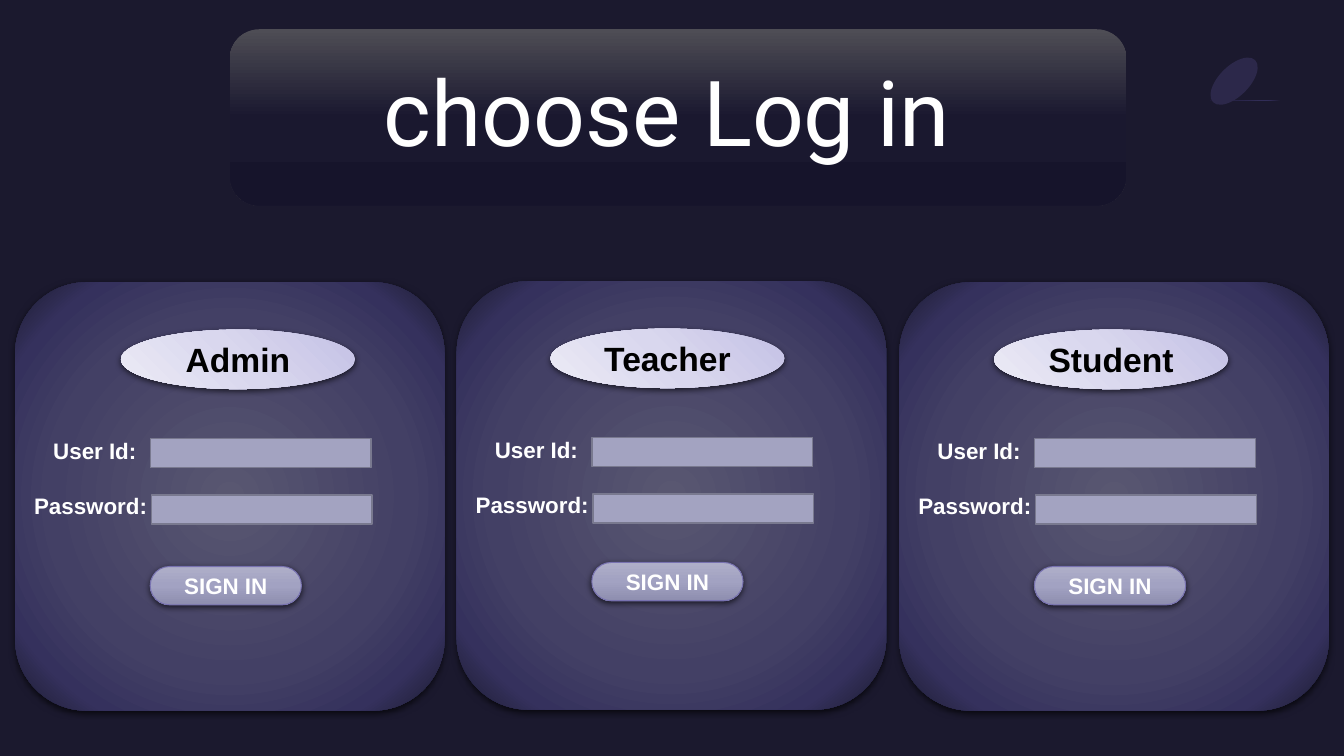
from lxml import etree
from pptx import Presentation
from pptx.dml.color import RGBColor
from pptx.enum.shapes import MSO_SHAPE
from pptx.enum.text import MSO_ANCHOR, MSO_AUTO_SIZE, PP_ALIGN
from pptx.oxml.ns import qn
from pptx.util import Inches, Pt

RECTANGLE = MSO_SHAPE.RECTANGLE
ROUNDED = MSO_SHAPE.ROUNDED_RECTANGLE
OVAL = MSO_SHAPE.OVAL
TOP, MIDDLE = MSO_ANCHOR.TOP, MSO_ANCHOR.MIDDLE
LEFT, CENTER = PP_ALIGN.LEFT, PP_ALIGN.CENTER
NO_AUTOFIT = MSO_AUTO_SIZE.NONE
TITLE_ONLY = 5

COLORS = {
    "background": "1B192E",
    "cone": "2C284A",
    "field": "A3A3C1",
    "field_line": "79798F",
    "button_line": "7872B0",
    "white": "FFFFFF",
    "black": "000000",
}
GRADIENTS = {
    "banner": [(0, "4E4D55"), (50, "1A182F"), (100, "16142B")],
    "cone": [(30, "2C284A"), (40, "3C3867"), (60, "2C284A"), (100, "1B192E")],
    "card": [(0, "595771"), (59, "434065"), (82, "35315D"), (100, "1B1A2E"), (100, "2E2A54")],
    "badge": [(0, "C4C1E5"), (50, "D9D7EE"), (100, "ECEBF6")],
    "button": [(0, "AEAEC8"), (50, "A2A2C2"), (100, "8E8EAF")],
}
CARDS = [
    ("Admin", 0.15, 2.8, 1.05, 2.82),
    ("Teacher", 4.53, 2.79, 0.93, 2.79),
    ("Student", 8.92, 2.8, 0.94, 2.82),
]


def color(name):
    return RGBColor.from_string(COLORS[name])


def add_box(slide, kind, left, top, width, height, fill=None, line=None, line_width=1):
    shape = slide.shapes.add_shape(kind, Inches(left), Inches(top), Inches(width), Inches(height))
    shape.shadow.inherit = False
    if fill:
        shape.fill.solid()
        shape.fill.fore_color.rgb = color(fill)
    if line:
        shape.line.color.rgb = color(line)
        shape.line.width = Pt(line_width)
    else:
        shape.line.fill.background()
    return shape


def set_gradient(shape, name, angle=None):
    shape.fill.background()
    properties = shape._element.spPr
    gradient = etree.Element(qn("a:gradFill"), rotWithShape="1")
    stops = etree.SubElement(gradient, qn("a:gsLst"))
    for position, value in GRADIENTS[name]:
        stop = etree.SubElement(stops, qn("a:gs"), pos=str(position * 1000))
        etree.SubElement(stop, qn("a:srgbClr"), val=value)
    if angle is None:
        radial = etree.SubElement(gradient, qn("a:path"))
        radial.set("path", "circle")
        sides = dict.fromkeys("ltrb", "50000")
        etree.SubElement(radial, qn("a:fillToRect"), sides)
    else:
        etree.SubElement(gradient, qn("a:lin"), ang=str(angle * 60000), scaled="0")
    properties.replace(properties.find(qn("a:noFill")), gradient)


def add_shadow(shape):
    effects = shape._element.spPr.find(qn("a:effectLst"))
    shadow = etree.SubElement(
        effects, qn("a:outerShdw"), blurRad=str(Pt(4.5)), dist=str(Pt(1.5)),
        dir="5400000", algn="ctr", rotWithShape="0")
    tint = etree.SubElement(shadow, qn("a:srgbClr"), val=COLORS["black"])
    etree.SubElement(tint, qn("a:alpha"), val="63000")


def write(shape, text, size, font_color="white", bold=True, font="Arial", align=CENTER, anchor=MIDDLE):
    frame = shape.text_frame
    frame.text = text
    frame.word_wrap = True
    frame.auto_size = NO_AUTOFIT
    frame.vertical_anchor = anchor
    paragraph = frame.paragraphs[0]
    paragraph.alignment = align
    run_font = paragraph.runs[0].font
    run_font.name, run_font.size, run_font.bold = font, Pt(size), bold
    run_font.color.rgb = color(font_color)
    return paragraph


def add_label(slide, text, left, top, width, height, anchor):
    label = slide.shapes.add_textbox(Inches(left), Inches(top), Inches(width), Inches(height))
    paragraph = write(label, text, 16, align=LEFT, anchor=anchor)
    paragraph.line_spacing = 0.9
    paragraph.space_before = Pt(10)


def curve(start, first, second, end, steps=10):
    for step in range(1, steps + 1):
        t = step / steps
        u = 1 - t
        yield tuple(
            u**3 * a + 3 * u * u * t * b + 3 * u * t * t * c + t**3 * d
            for a, b, c, d in zip(start, first, second, end))


def add_cone(slide, left, top):
    tip, rim_left, rim_middle, rim_right = (0.62, 0.69), (0.06, 0.53), (0.13, 0.2), (0.45, 0.1)
    rim_low = (0.03, 0.52)
    points = [
        rim_left, rim_low,
        *curve(rim_low, (-0.03, 0.46), (0.02, 0.32), rim_middle),
        *curve(rim_middle, (0.25, 0.09), (0.39, 0.04), rim_right),
        (0.47, 0.13),
    ]
    builder = slide.shapes.build_freeform(left + tip[0], top + tip[1], scale=Inches(1))
    builder.add_line_segments([(left + x, top + y) for x, y in points], close=True)
    side = builder.convert_to_shape()
    side.shadow.inherit = False
    side.line.fill.background()
    set_gradient(side, "cone", 145)
    base = add_box(slide, OVAL, left + 0.09, top + 0.01, 0.3, 0.59, "cone")
    base.rotation = 225


def add_card(slide, role, left, top, badge_offset, button_offset):
    card = add_box(slide, ROUNDED, left, top, 4.26, 4.25)
    set_gradient(card, "card")
    add_shadow(card)

    badge = add_box(slide, OVAL, left + badge_offset, top + 0.47, 2.32, 0.59)
    set_gradient(badge, "badge", 135)
    add_shadow(badge)
    write(badge, role, 24, "black").space_after = Pt(6)

    add_label(slide, "User Id:", left + 0.28, top + 1.52, 1.87, 0.43, TOP)
    add_label(slide, "Password:", left + 0.09, top + 1.97, 1.83, 0.52, MIDDLE)
    for row in range(2):
        add_box(slide, RECTANGLE, left + 1.34 + row * 0.01, top + 1.55 + row * 0.56,
                2.19, 0.29, "field", "field_line")

    button = add_box(slide, ROUNDED, left + 1.34, top + button_offset, 1.5, 0.38,
                     line="button_line", line_width=0.75)
    button.adjustments[0] = 0.5
    set_gradient(button, "button", 90)
    add_shadow(button)
    write(button, "SIGN IN", 16)


def add_banner(slide, left, top, width, height):
    banner = add_box(slide, ROUNDED, left, top, width, height)
    set_gradient(banner, "banner", 90)
    title = slide.shapes.title
    banner._element.addnext(title._element)
    title.left, title.top = Inches(left + 0.09), Inches(top + 0.08)
    title.width, title.height = Inches(width - 0.17), Inches(height - 0.17)
    write(title, "choose Log in ", 65, bold=False, font="Roboto").line_spacing = 0.9
    frame = title.text_frame
    frame.margin_left = frame.margin_right = Inches(0.27)
    frame.margin_top = frame.margin_bottom = Inches(0.27)


def main():
    presentation = Presentation()
    presentation.slide_width = Inches(13.33)
    presentation.slide_height = Inches(7.5)
    slide = presentation.slides.add_slide(presentation.slide_layouts[TITLE_ONLY])
    slide.background.fill.solid()
    slide.background.fill.fore_color.rgb = color("background")
    add_cone(slide, 12, 0.5)
    for card in CARDS:
        add_card(slide, *card)
    add_banner(slide, 2.28, 0.29, 8.89, 1.75)
    presentation.save("out.pptx")


if __name__ == "__main__":
    main()
